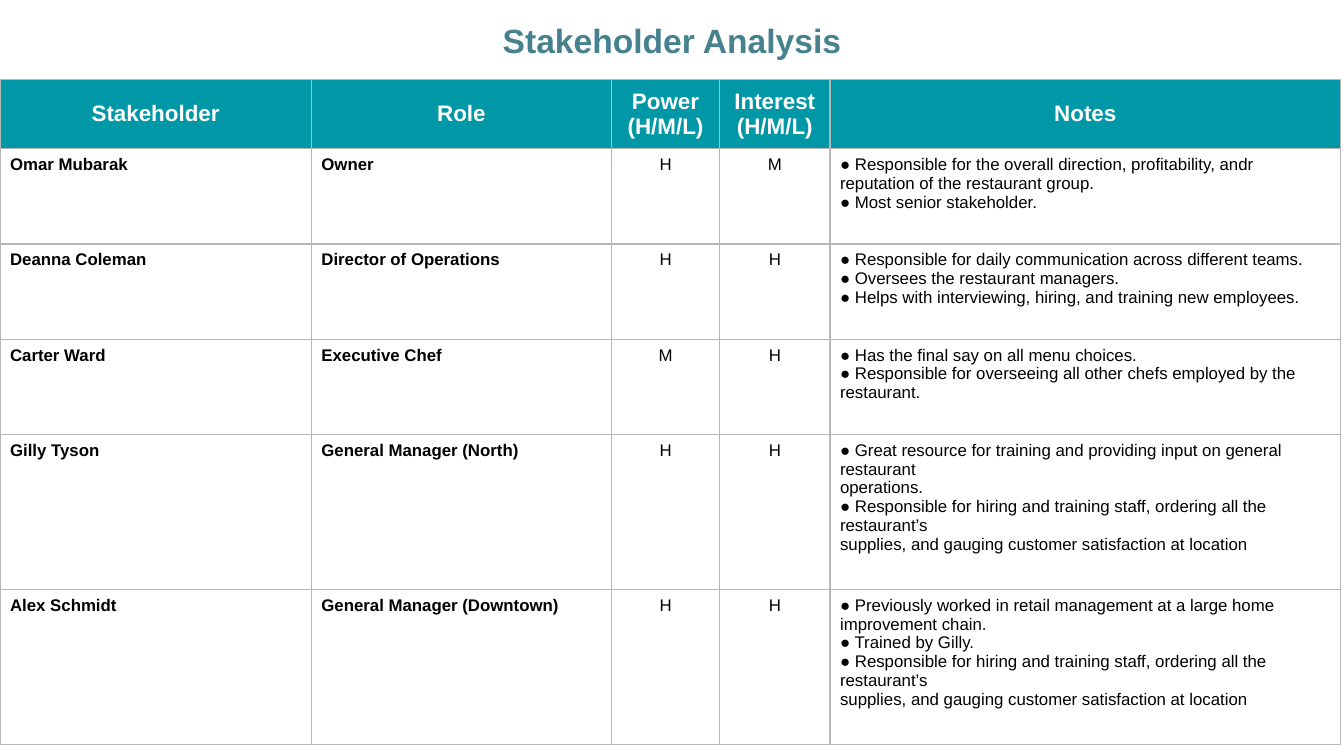
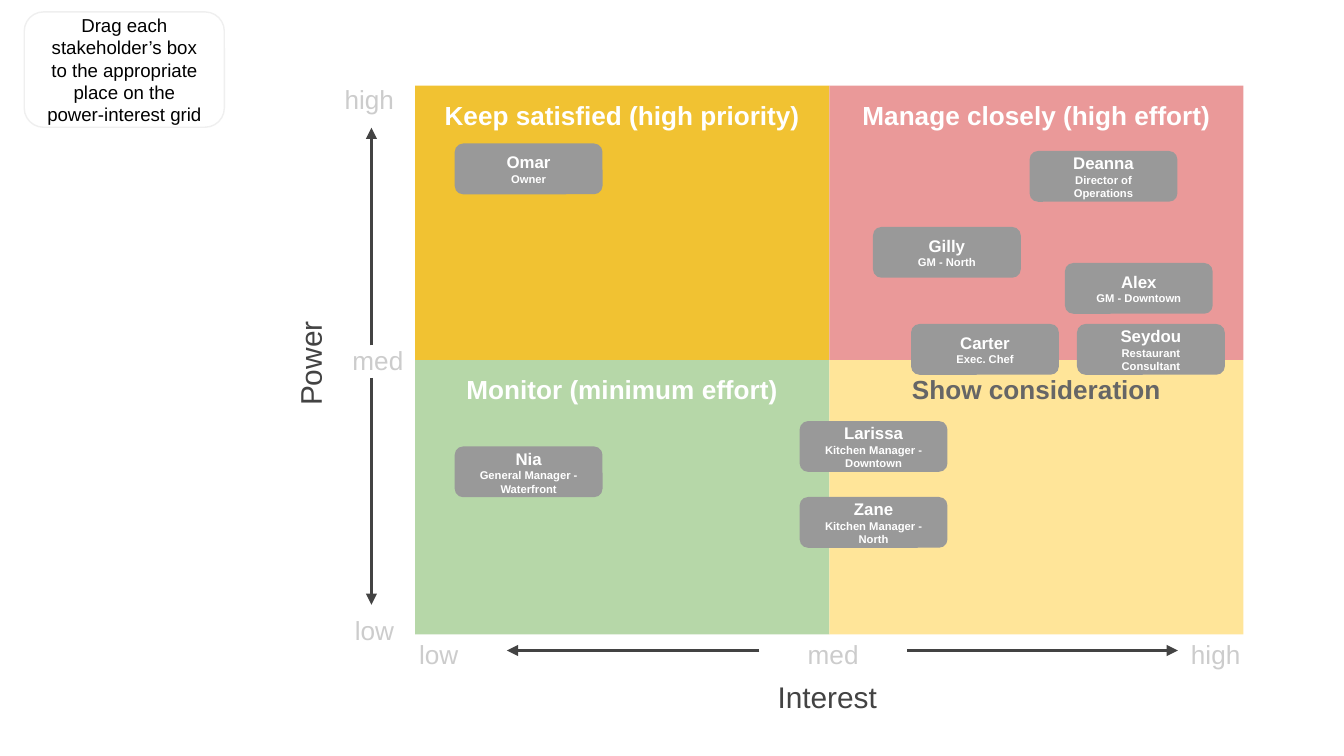
from lxml import etree
from pptx import Presentation
from pptx.dml.color import RGBColor
from pptx.enum.shapes import MSO_CONNECTOR, MSO_SHAPE
from pptx.enum.text import MSO_ANCHOR, PP_ALIGN
from pptx.oxml.ns import qn
from pptx.util import Pt

RECTANGLE, ROUNDED = MSO_SHAPE.RECTANGLE, MSO_SHAPE.ROUNDED_RECTANGLE
STRAIGHT = MSO_CONNECTOR.STRAIGHT
TOP, MIDDLE = MSO_ANCHOR.TOP, MSO_ANCHOR.MIDDLE
LEFT, CENTER, RIGHT = PP_ALIGN.LEFT, PP_ALIGN.CENTER, PP_ALIGN.RIGHT

WHITE = RGBColor(0xFF, 0xFF, 0xFF)
BLACK = RGBColor(0x00, 0x00, 0x00)
TEAL = RGBColor(0x00, 0x97, 0xA7)
TITLE_BLUE = RGBColor(0x45, 0x81, 0x8E)
BORDER_GRAY = RGBColor(0xB7, 0xB7, 0xB7)
AXIS_GRAY = RGBColor(0x43, 0x43, 0x43)
SCALE_GRAY = RGBColor(0xCC, 0xCC, 0xCC)
CARD_GRAY = RGBColor(0x99, 0x99, 0x99)
OUTLINE_GRAY = RGBColor(0xEF, 0xEF, 0xEF)
HEADING_GRAY = RGBColor(0x66, 0x66, 0x66)
GOLD = RGBColor(0xF1, 0xC2, 0x32)
ROSE = RGBColor(0xEA, 0x99, 0x99)
GREEN = RGBColor(0xB6, 0xD7, 0xA8)
CREAM = RGBColor(0xFF, 0xE5, 0x99)

HEADERS = ["Stakeholder", "Role", "Power (H/M/L)", "Interest (H/M/L)", "Notes"]
COLUMN_WIDTHS = [166.8, 160.8, 58, 59.1, 273.6]
ROW_HEIGHTS = [37.2, 51, 51, 51, 83, 83]
MANAGER_DUTIES = (
    "● Responsible for hiring and training staff, ordering all the restaurant’s\n"
    "supplies, and gauging customer satisfaction at location"
)
STAKEHOLDERS = [
    ("Omar Mubarak", "Owner", "H", "M",
     "● Responsible for the overall direction, profitability, andr "
     "reputation of the restaurant group.\n"
     "● Most senior stakeholder."),
    ("Deanna Coleman", "Director of Operations", "H", "H",
     "● Responsible for daily communication across different teams.\n"
     "● Oversees the restaurant managers.\n"
     "● Helps with interviewing, hiring, and training new employees."),
    ("Carter Ward", "Executive Chef", "M", "H",
     "● Has the final say on all menu choices.\n"
     "● Responsible for overseeing all other chefs employed by the\n"
     "restaurant."),
    ("Gilly Tyson", "General Manager (North)", "H", "H",
     "● Great resource for training and providing input on general restaurant\n"
     "operations.\n" + MANAGER_DUTIES),
    ("Alex Schmidt", "General Manager (Downtown)", "H", "H",
     "● Previously worked in retail management at a large home improvement chain.\n"
     "● Trained by Gilly.\n" + MANAGER_DUTIES),
]

GRID_LEFT, GRID_TOP = 222.4, 45.9
QUADRANT_WIDTH, QUADRANT_HEIGHT = 221.9, 147
QUADRANTS = [
    ("Keep satisfied (high priority)", GOLD, WHITE),
    ("Manage closely (high effort)", ROSE, WHITE),
    ("Monitor (minimum effort)", GREEN, WHITE),
    ("Show consideration", CREAM, HEADING_GRAY),
]
SCALE_LABELS = [
    ("high", 122.4, 37.4, 95.8, 18.7, RIGHT),
    ("med", 174.2, 177.1, 49, 31.7, RIGHT),
    ("low", 122.4, 321.8, 95.8, 18.7, RIGHT),
    ("low", 198.7, 334.8, 72.7, 27.4, CENTER),
    ("med", 406.8, 334.8, 79.2, 27.4, CENTER),
    ("high", 614.9, 334.8, 72.7, 27.4, CENTER),
]
AXIS_ARROWS = [
    (199, 185, 199, 68.4),
    (199, 202.5, 199, 324),
    (486, 348.5, 631, 348.5),
    (406.8, 348.5, 271.6, 348.5),
]
CARDS = [
    ("Omar", "Owner", 243.6, 76.9),
    ("Deanna", "Director of Operations", 551.6, 80.9),
    ("Carter", "Exec. Chef", 488.1, 173.6),
    ("Gilly", "GM - North", 467.7, 121.6),
    ("Alex", "GM - Downtown", 570.5, 140.9),
    ("Zane", "Kitchen Manager - North", 428.4, 266.3),
    ("Larissa", "Kitchen Manager - Downtown", 428.4, 225.6),
    ("Seydou", "Restaurant Consultant", 577, 173.6),
    ("Nia", "General Manager - Waterfront", 243.6, 239.2),
]


class Deck:
    """Holds the shared style and the slide being drawn; lengths are in points."""

    font = "Arial"
    inset = 7.2
    cell_insets = (5.4, 3.6)

    def __init__(self):
        self.presentation = Presentation()
        self.presentation.slide_width = Pt(720)
        self.presentation.slide_height = Pt(405)
        self.slide = None

    def new_slide(self):
        self.slide = self.presentation.slides.add_slide(
            self.presentation.slide_layouts[6])
        background = self.slide.background.fill
        background.solid()
        background.fore_color.rgb = WHITE

    def fill_text(self, text_frame, text, sizes, color, bold=False, align=CENTER):
        """Fill the frame; sizes give one value per paragraph, the last one repeating."""
        text_frame.word_wrap = True
        text_frame.text = text
        for index, paragraph in enumerate(text_frame.paragraphs):
            paragraph.alignment = align
            for run in paragraph.runs:
                run.font.name = self.font
                run.font.size = Pt(sizes[min(index, len(sizes) - 1)])
                run.font.bold = bold
                run.font.color.rgb = color

    def set_insets(self, target, horizontal, vertical):
        target.margin_left = target.margin_right = Pt(horizontal)
        target.margin_top = target.margin_bottom = Pt(vertical)

    def text(self, text, left, top, width, height, size, color,
             bold=False, align=CENTER, anchor=TOP):
        shape = self.slide.shapes.add_textbox(Pt(left), Pt(top), Pt(width), Pt(height))
        self.set_insets(shape.text_frame, self.inset, self.inset)
        shape.text_frame.vertical_anchor = anchor
        self.fill_text(shape.text_frame, text, [size], color, bold, align)
        return shape

    def box(self, kind, text, left, top, width, height, sizes, color,
            fill=None, outline=None, bold=True, anchor=MIDDLE):
        shape = self.slide.shapes.add_shape(
            kind, Pt(left), Pt(top), Pt(width), Pt(height))
        shape.shadow.inherit = False
        if fill is None:
            shape.fill.background()
        else:
            shape.fill.solid()
            shape.fill.fore_color.rgb = fill
        if outline is None:
            shape.line.fill.background()
        else:
            shape.line.color.rgb = outline
            shape.line.width = Pt(0.75)
        self.set_insets(shape.text_frame, self.inset, self.inset)
        shape.text_frame.vertical_anchor = anchor
        self.fill_text(shape.text_frame, text, sizes, color, bold)

    def arrow(self, start_x, start_y, end_x, end_y):
        connector = self.slide.shapes.add_connector(
            STRAIGHT, Pt(start_x), Pt(start_y), Pt(end_x), Pt(end_y))
        connector.line.color.rgb = AXIS_GRAY
        connector.line.width = Pt(1.5)
        properties = connector._element.spPr
        etree.SubElement(properties.find(qn("a:ln")), qn("a:tailEnd"), type="triangle")
        etree.SubElement(properties, qn("a:effectLst"))

    def border(self, cell):
        properties = cell._tc.get_or_add_tcPr()
        for position, side in enumerate(("lnL", "lnR", "lnT", "lnB")):
            line = etree.Element(qn(f"a:{side}"), w=str(Pt(0.75)))
            fill = etree.SubElement(line, qn("a:solidFill"))
            etree.SubElement(fill, qn("a:srgbClr"), val=str(BORDER_GRAY))
            properties.insert(position, line)

    def table(self, left, top, rows, column_widths, row_heights):
        """Draw a header row and body rows: two bold, two centred, one plain column."""
        table = self.slide.shapes.add_table(
            len(rows), len(column_widths), Pt(left), Pt(top),
            Pt(sum(column_widths)), Pt(sum(row_heights))).table
        table.first_row = table.horz_banding = False
        for column, width in zip(table.columns, column_widths):
            column.width = Pt(width)
        for row, height in zip(table.rows, row_heights):
            row.height = Pt(height)
        for row_index, values in enumerate(rows):
            for column_index, value in enumerate(values):
                cell = table.cell(row_index, column_index)
                self.set_insets(cell, *self.cell_insets)
                if row_index == 0:
                    cell.fill.solid()
                    cell.fill.fore_color.rgb = TEAL
                    cell.vertical_anchor = MIDDLE
                    self.fill_text(cell.text_frame, value, [12], WHITE, True)
                else:
                    cell.fill.background()
                    cell.vertical_anchor = TOP
                    align = CENTER if column_index in (2, 3) else LEFT
                    self.fill_text(cell.text_frame, value, [9], BLACK,
                                   column_index < 2, align)
                self.border(cell)


def build_analysis(deck):
    deck.new_slide()
    deck.table(0, 42.5, [HEADERS, *STAKEHOLDERS], COLUMN_WIDTHS, ROW_HEIGHTS)
    title = deck.text("Stakeholder Analysis", 60, 0, 600, 36, 18, TITLE_BLUE, bold=True)
    title.text_frame.paragraphs[0].line_spacing = 1.15


def build_power_grid(deck):
    deck.new_slide()
    for index, (heading, fill, color) in enumerate(QUADRANTS):
        row, column = divmod(index, 2)
        deck.box(RECTANGLE, heading,
                 GRID_LEFT + column * QUADRANT_WIDTH, GRID_TOP + row * QUADRANT_HEIGHT,
                 QUADRANT_WIDTH, QUADRANT_HEIGHT, [14], color, fill, anchor=TOP)

    power = deck.text("Power", 100.1, 182.2, 131.8, 25.2, 16, AXIS_GRAY, anchor=MIDDLE)
    power.rotation = 270
    deck.text("Interest", 389.5, 356.4, 107.3, 33.8, 16, AXIS_GRAY)
    for label, left, top, width, height, align in SCALE_LABELS:
        deck.text(label, left, top, width, height, 14, SCALE_GRAY, align=align)
    for ends in AXIS_ARROWS:
        deck.arrow(*ends)

    deck.box(ROUNDED, "Drag each stakeholder’s box to the appropriate place on the "
             "power-interest grid", 13, 6.4, 107.2, 61.8, [10], BLACK,
             outline=OUTLINE_GRAY, bold=False)
    for name, role, left, top in CARDS:
        deck.box(ROUNDED, f"{name}\n{role}", left, top, 79.2, 27.2, [9, 6],
                 WHITE, CARD_GRAY)


def main():
    deck = Deck()
    build_analysis(deck)
    build_power_grid(deck)
    deck.presentation.save("out.pptx")


if __name__ == "__main__":
    main()
